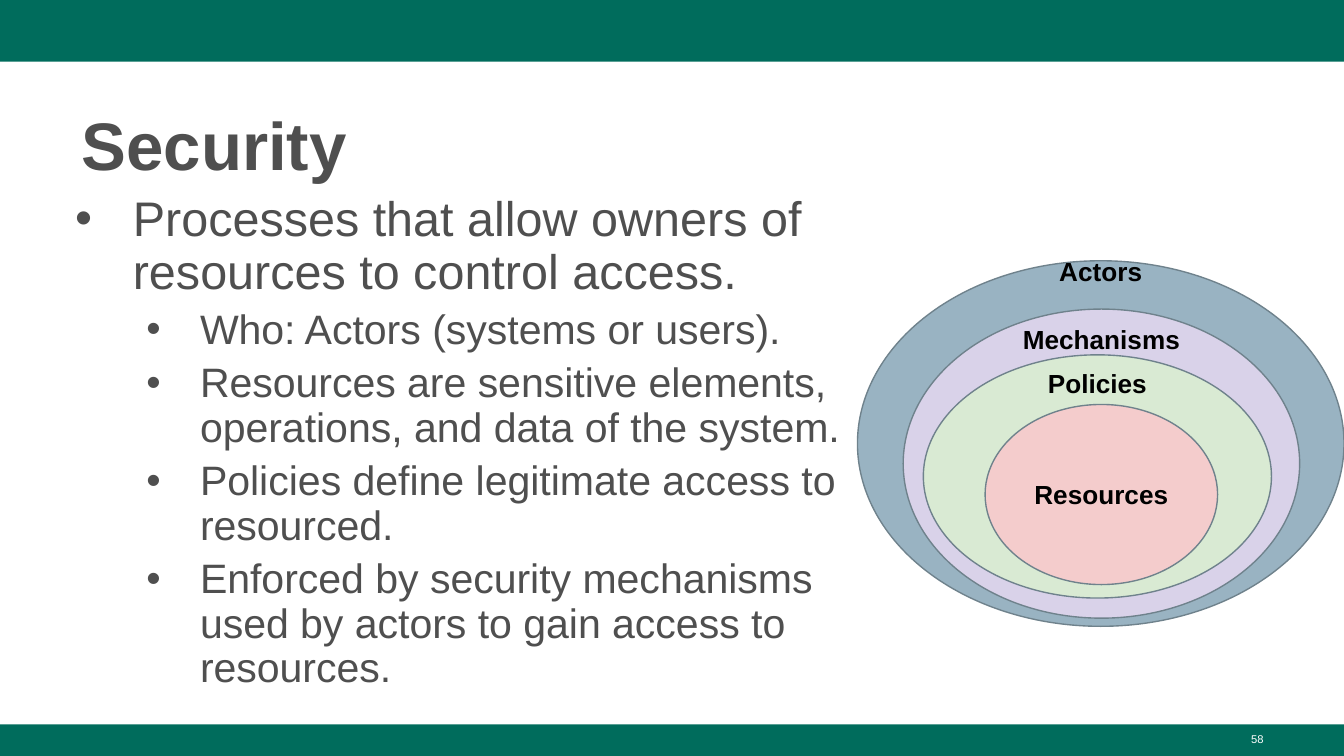
from lxml import etree
from pptx import Presentation
from pptx.dml.color import RGBColor
from pptx.enum.shapes import MSO_SHAPE
from pptx.enum.text import MSO_ANCHOR, PP_ALIGN
from pptx.oxml.ns import qn
from pptx.util import Inches, Pt

RECTANGLE, OVAL = MSO_SHAPE.RECTANGLE, MSO_SHAPE.OVAL
TOP, MIDDLE, BOTTOM = MSO_ANCHOR.TOP, MSO_ANCHOR.MIDDLE, MSO_ANCHOR.BOTTOM
LEFT, CENTER, RIGHT = PP_ALIGN.LEFT, PP_ALIGN.CENTER, PP_ALIGN.RIGHT

GREEN = RGBColor(0x00, 0x6C, 0x5C)
GRAY = RGBColor(0x4F, 0x4F, 0x4F)
WHITE = RGBColor(0xFF, 0xFF, 0xFF)
BLACK = RGBColor(0x00, 0x00, 0x00)
OUTLINE = RGBColor(0x6F, 0x82, 0x8C)
BLUE = RGBColor(0x99, 0xB3, 0xC2)
PURPLE = RGBColor(0xD9, 0xD2, 0xE9)
LIGHT_GREEN = RGBColor(0xD9, 0xEA, 0xD3)
PINK = RGBColor(0xF4, 0xCC, 0xCC)


def add_text_box(left, top, width, height, anchor):
    box = slide.shapes.add_textbox(Inches(left), Inches(top), Inches(width), Inches(height))
    box.text_frame.word_wrap = True
    box.text_frame.vertical_anchor = anchor
    return box.text_frame


def write(para, text, size, color, bold=False, align=LEFT):
    para.alignment = align
    span = para.add_run()
    span.text = text
    span.font.name = "Arial"
    span.font.size = Pt(size)
    span.font.bold = bold
    span.font.color.rgb = color


deck = Presentation()
deck.slide_width = Inches(10)
deck.slide_height = Inches(10) * 9 // 16
slide = deck.slides.add_slide(deck.slide_layouts[6])

for top, height in [(0, 0.46), (5.39, 0.24)]:
    band = slide.shapes.add_shape(RECTANGLE, 0, Inches(top), deck.slide_width, Inches(height))
    band.shadow.inherit = False
    band.fill.solid()
    band.fill.fore_color.rgb = GREEN
    band.line.fill.background()

title = add_text_box(0.51, 0.69, 8.99, 0.73, BOTTOM).paragraphs[0]
title.line_spacing = 1.08
write(title, "Security", 36, GRAY, bold=True)

points = [
    (0, "Processes that allow owners of resources to control access."),
    (1, "Who: Actors (systems or users)."),
    (1, "Resources are sensitive elements, operations, and data of the system."),
    (1, "Policies define legitimate access to resourced."),
    (1, "Enforced by security mechanisms used by actors to gain access to resources."),
]
level_styles = [(0.5, -0.43, 26), (1, -0.4, 22)]
body = add_text_box(0.39, 1.4, 6, 3.81, TOP)
for index, (level, text) in enumerate(points):
    para = body.paragraphs[0] if index == 0 else body.add_paragraph()
    margin, indent, size = level_styles[level]
    properties = para._p.get_or_add_pPr()
    properties.set("marL", str(Inches(margin)))
    properties.set("indent", str(Inches(indent)))
    bullet_color = etree.SubElement(properties, qn("a:buClr"))
    etree.SubElement(bullet_color, qn("a:srgbClr"), val=str(GRAY))
    etree.SubElement(properties, qn("a:buFont"), typeface="Arial")
    etree.SubElement(properties, qn("a:buChar"), char="•")
    para.level = level
    para.line_spacing = 0.9
    if index:
        para.space_before = Pt(5)
    write(para, text, size, GRAY)

number = add_text_box(7.17, 5.4, 2.33, 0.23, TOP).paragraphs[0]
write(number, "58", 6, WHITE, align=RIGHT)

rings = [
    ("Actors", 6.38, 1.94, 3.62, 2.72, BLUE, 2.02),
    ("Mechanisms", 6.72, 2.3, 2.95, 2.3, PURPLE, 2.52),
    ("Policies", 6.87, 2.64, 2.59, 1.81, LIGHT_GREEN, 2.85),
    ("Resources", 7.33, 3.01, 1.73, 1.34, PINK, 3.68),
]
label_height = 0.34
for name, left, top, width, height, color, label_middle in rings:
    ring = slide.shapes.add_shape(OVAL, Inches(left), Inches(top), Inches(width), Inches(height))
    ring.shadow.inherit = False
    ring.fill.solid()
    ring.fill.fore_color.rgb = color
    ring.line.color.rgb = OUTLINE
    ring.line.width = Pt(0.75)
    label = add_text_box(left, label_middle - label_height / 2, width, label_height, MIDDLE)
    write(label.paragraphs[0], name, 14, BLACK, bold=True, align=CENTER)

deck.save("out.pptx")
